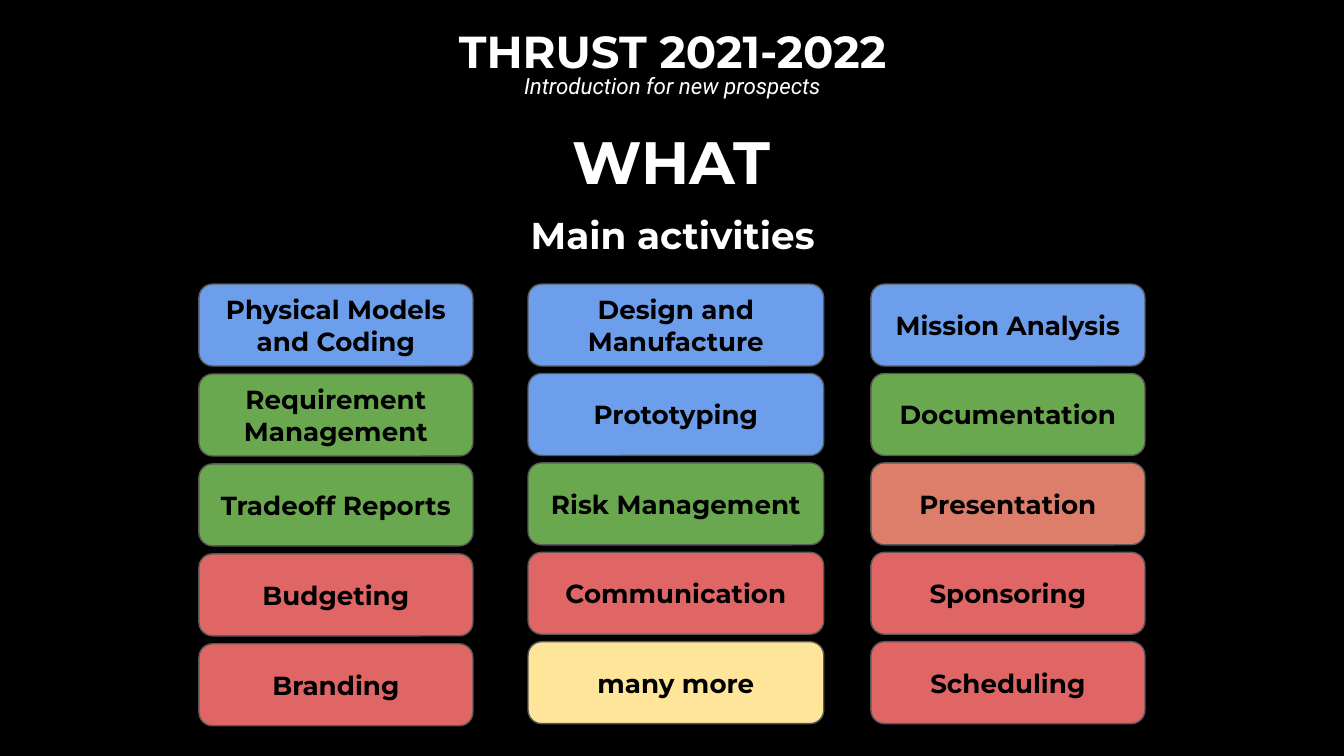
from dataclasses import dataclass

from pptx import Presentation
from pptx.dml.color import RGBColor
from pptx.enum import shapes, text
from pptx.util import Cm, Pt


@dataclass(frozen=True)
class Theme:
    background: str = "000000"
    light: str = "FFFFFF"
    dark: str = "000000"
    outline: str = "595959"
    blue: str = "6D9EEB"
    green: str = "6AA84F"
    red: str = "E06666"
    salmon: str = "DD7E6B"
    yellow: str = "FFE599"
    heading_font: str = "Montserrat"
    subtitle_font: str = "Roboto"
    title_size: int = 32
    header_size: int = 24
    section_size: int = 20
    activity_size: int = 14
    subtitle_size: int = 12


THEME = Theme()


@dataclass(frozen=True)
class Box:
    left: float
    top: float
    width: float
    height: float

    def lengths(self) -> tuple:
        return Cm(self.left), Cm(self.top), Cm(self.width), Cm(self.height)


@dataclass(frozen=True)
class Style:
    size: int
    color: str = THEME.light
    font: str = THEME.heading_font
    bold: bool = True
    italic: bool = False


@dataclass(frozen=True)
class Heading:
    words: str
    box: Box
    style: Style


@dataclass(frozen=True)
class Activity:
    name: str
    fill: str


@dataclass(frozen=True)
class Column:
    left: float
    width: float
    pitch: float
    activities: tuple[Activity, ...]


TITLE = Heading("WHAT", Box(10.26, 2.11, 4.85, 1.88), Style(THEME.title_size))
HEADINGS = (
    Heading("Introduction for new prospects", Box(4.67, 1.12, 16.08, 1.02),
            Style(THEME.subtitle_size, font=THEME.subtitle_font, bold=False, italic=True)),
    Heading("THRUST 2021-2022", Box(4.67, 0.2, 16.08, 1.55), Style(THEME.header_size)),
    Heading("Main activities", Box(6.76, 3.76, 11.91, 1.37), Style(THEME.section_size)),
)

COLUMNS = (
    Column(3.76, 5.18, 1.7, (
        Activity("Physical Models and Coding", THEME.blue),
        Activity("Requirement Management", THEME.green),
        Activity("Tradeoff Reports", THEME.green),
        Activity("Budgeting", THEME.red),
        Activity("Branding", THEME.red),
    )),
    Column(9.98, 5.59, 1.69, (
        Activity("Design and Manufacture", THEME.blue),
        Activity("Prototyping", THEME.blue),
        Activity("Risk Management", THEME.green),
        Activity("Communication", THEME.red),
        Activity("many more", THEME.yellow),
    )),
    Column(16.46, 5.18, 1.69, (
        Activity("Mission Analysis", THEME.blue),
        Activity("Documentation", THEME.green),
        Activity("Presentation", THEME.salmon),
        Activity("Sponsoring", THEME.red),
        Activity("Scheduling", THEME.red),
    )),
)
GRID_TOP = 5.37
ACTIVITY_HEIGHT = 1.55
INSET = 0.25
ACTIVITY_STYLE = Style(THEME.activity_size, THEME.dark)


def write_text(shape, words: str, style: Style, anchor) -> None:
    frame = shape.text_frame
    frame.word_wrap = True
    frame.auto_size = text.MSO_AUTO_SIZE.NONE
    frame.vertical_anchor = anchor
    frame.margin_left = frame.margin_right = Cm(INSET)
    frame.margin_top = frame.margin_bottom = Cm(INSET)
    paragraph = frame.paragraphs[0]
    paragraph.alignment = text.PP_ALIGN.CENTER
    run = paragraph.add_run()
    run.text = words
    run.font.name = style.font
    run.font.size = Pt(style.size)
    run.font.bold = style.bold
    run.font.italic = style.italic
    run.font.color.rgb = RGBColor.from_string(style.color)


def place_title(slide, heading: Heading) -> None:
    title = slide.shapes.title
    title.left, title.top, title.width, title.height = heading.box.lengths()
    write_text(title, heading.words, heading.style, text.MSO_ANCHOR.TOP)


def add_heading(slide, heading: Heading) -> None:
    shape = slide.shapes.add_textbox(*heading.box.lengths())
    write_text(shape, heading.words, heading.style, text.MSO_ANCHOR.TOP)


def add_activity(slide, activity: Activity, box: Box) -> None:
    shape = slide.shapes.add_shape(shapes.MSO_SHAPE.ROUNDED_RECTANGLE, *box.lengths())
    shape.shadow.inherit = False
    shape.fill.solid()
    shape.fill.fore_color.rgb = RGBColor.from_string(activity.fill)
    shape.line.color.rgb = RGBColor.from_string(THEME.outline)
    shape.line.width = Pt(0.75)
    write_text(shape, activity.name, ACTIVITY_STYLE, text.MSO_ANCHOR.MIDDLE)


def add_column(slide, column: Column) -> None:
    for row, activity in enumerate(column.activities):
        top = GRID_TOP + row * column.pitch
        add_activity(slide, activity, Box(column.left, top, column.width, ACTIVITY_HEIGHT))


def main() -> None:
    presentation = Presentation()
    presentation.slide_width = Cm(25.4)
    presentation.slide_height = Cm(14.29)
    slide = presentation.slides.add_slide(presentation.slide_layouts.get_by_name("Title Only"))
    slide.background.fill.solid()
    slide.background.fill.fore_color.rgb = RGBColor.from_string(THEME.background)
    place_title(slide, TITLE)
    for heading in HEADINGS:
        add_heading(slide, heading)
    for column in COLUMNS:
        add_column(slide, column)
    presentation.save("out.pptx")


if __name__ == "__main__":
    main()
